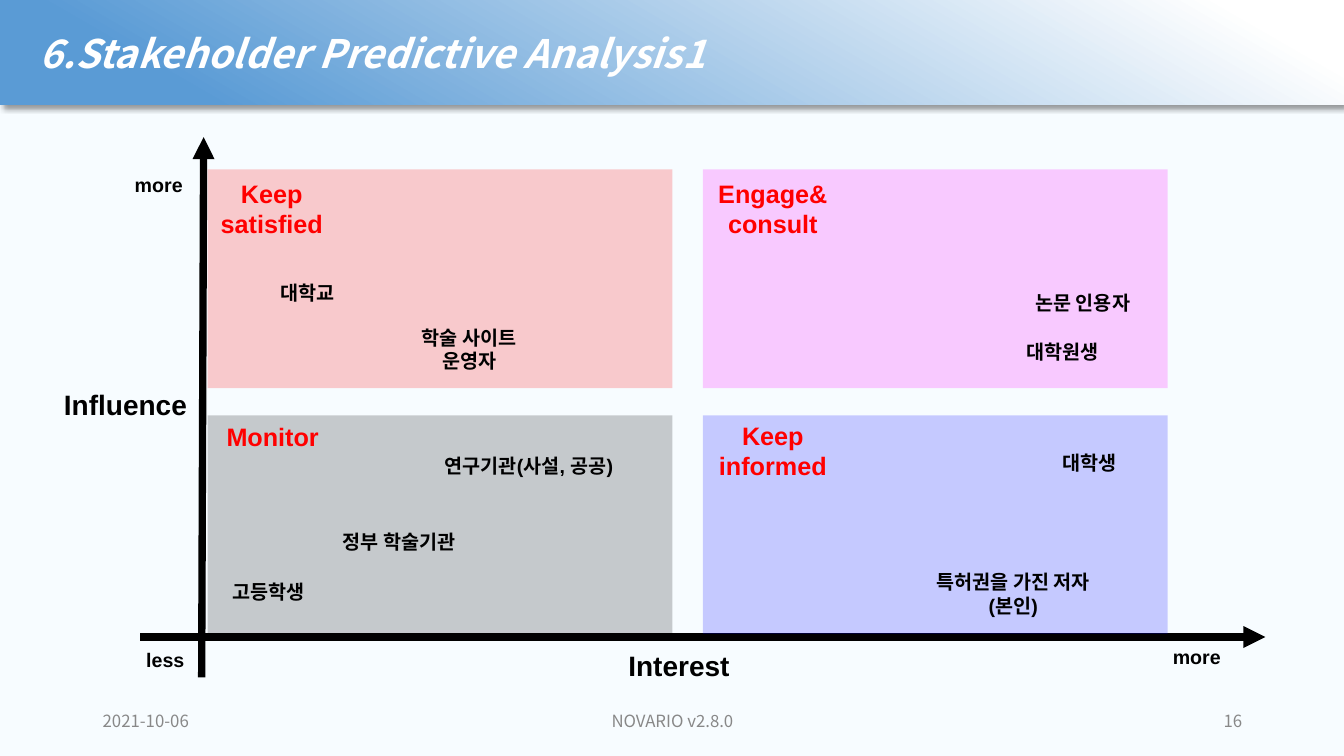
from dataclasses import dataclass

from lxml import etree
from pptx import Presentation
from pptx.dml.color import RGBColor
from pptx.enum.shapes import MSO_CONNECTOR, MSO_SHAPE
from pptx.enum.text import MSO_ANCHOR, MSO_AUTO_SIZE, PP_ALIGN
from pptx.oxml.ns import qn
from pptx.util import Emu, Pt

STRAIGHT = MSO_CONNECTOR.STRAIGHT
RECTANGLE = MSO_SHAPE.RECTANGLE
TOP, MIDDLE = MSO_ANCHOR.TOP, MSO_ANCHOR.MIDDLE
GROW, FIXED = MSO_AUTO_SIZE.SHAPE_TO_FIT_TEXT, MSO_AUTO_SIZE.NONE
LEFT, CENTER, RIGHT = PP_ALIGN.LEFT, PP_ALIGN.CENTER, PP_ALIGN.RIGHT

EMU_PER_PX = 9144
SANS = "Arial"
KOREAN = "Noto Sans CJK KR"
COLORS = {
    "page": "F7FCFF",
    "banner": "5A9BD5",
    "white": "FFFFFF",
    "black": "000000",
    "footer": "888888",
    "red": "FF0000",
    "magenta": "FF00FF",
    "blue": "0000FF",
}
QUADRANT_LEFTS = (206, 697)
QUADRANT_TOPS = (168, 412)
QUADRANT_WIDTH, QUADRANT_HEIGHT = 461, 217
QUADRANT_ALPHA = 20


@dataclass(frozen=True)
class Quadrant:
    column: int
    row: int
    color: str


@dataclass(frozen=True)
class Axis:
    start: tuple[int, int]
    end: tuple[int, int]


@dataclass(frozen=True)
class Label:
    text: str
    left: int
    top: int
    width: int
    height: int = 34
    align: PP_ALIGN = CENTER
    size: int = 14
    color: str = "black"


QUADRANTS = (
    Quadrant(0, 0, "red"),
    Quadrant(0, 1, "black"),
    Quadrant(1, 0, "magenta"),
    Quadrant(1, 1, "blue"),
)
AXES = (
    Axis((139, 632), (1255, 632)),
    Axis((200, 672), (202, 136)),
)
FOOTERS = (
    Label("2021-10-06", 92, 695, 300, 40, LEFT, 12, "footer"),
    Label("NOVARIO v2.8.0", 442, 695, 450, 40, CENTER, 12, "footer"),
    Label("16", 942, 695, 300, 40, RIGHT, 12, "footer"),
)
LABELS = (
    Label("less", 127, 638, 74),
    Label("more", 1146, 635, 82),
    Label("more", 116, 167, 83),
    Label("Influence", 43, 380, 163, 44, size=20),
    Label("Interest", 592, 638, 163, 44, size=20),
    Label("고등학생", 221, 570, 109, align=LEFT),
    Label("대학생", 1044, 442, 84, align=LEFT),
    Label("대학원생", 1008, 332, 109, align=LEFT),
    Label("대학교", 268, 274, 86, align=LEFT),
    Label("정부 학술기관", 330, 521, 146, align=LEFT),
    Label("연구기관(사설, 공공)", 431, 445, 198, align=LEFT),
    Label("특허권을 가진 저자(본인)", 918, 561, 174, 57),
    Label("학술 사이트 운영자", 392, 318, 147, 57),
    Label("논문 인용자", 1017, 284, 130, align=LEFT),
    Label("Monitor", 211, 413, 119, 40, size=18, color="red"),
    Label("Keep\nsatisfied", 200, 172, 139, 71, size=18, color="red"),
    Label("Engage&\nconsult", 697, 172, 139, 71, size=18, color="red"),
    Label("Keep\ninformed", 697, 412, 139, 71, size=18, color="red"),
)


def px(length: int) -> Emu:
    return Emu(length * EMU_PER_PX)


def rgb(name: str) -> RGBColor:
    return RGBColor.from_string(COLORS[name])


def format_text(frame, font: str, size: int, color: str, align: PP_ALIGN, bold: bool, italic: bool = False) -> None:
    for para in frame.paragraphs:
        para.alignment = align
        for span in para.runs:
            span.font.name = font
            span.font.size = Pt(size)
            span.font.bold = bold
            span.font.italic = italic
            span.font.color.rgb = rgb(color)
            east_asian = etree.Element(qn("a:ea"), typeface=KOREAN)
            span.font._element.find(qn("a:latin")).addnext(east_asian)


def draw_banner(page) -> None:
    banner = page.shapes.add_shape(RECTANGLE, 0, 0, px(1333), px(104))
    banner.line.fill.background()
    banner.fill.gradient()
    banner.fill.gradient_angle = 240
    stops = ((0.08, "white"), (0.86, "banner"))
    for stop, (position, color) in zip(banner.fill.gradient_stops, stops):
        stop.position = position
        stop.color.rgb = rgb(color)

    banner.shadow.inherit = False
    effects = banner._element.spPr.find(qn("a:effectLst"))
    shadow = etree.SubElement(
        effects, qn("a:outerShdw"), blurRad=str(Pt(4)), dist=str(Pt(3)), dir="2700000", algn="tl", rotWithShape="0"
    )
    shade = etree.SubElement(shadow, qn("a:srgbClr"), val=COLORS["black"])
    etree.SubElement(shade, qn("a:alpha"), val="40000")

    frame = banner.text_frame
    frame.text = "6.Stakeholder Predictive Analysis1"
    frame.word_wrap = True
    frame.vertical_anchor = MIDDLE
    frame.margin_left = px(39)
    format_text(frame, KOREAN, 28, "white", LEFT, bold=True, italic=True)


def draw_quadrant(page, quadrant: Quadrant) -> None:
    box = page.shapes.add_shape(
        RECTANGLE,
        px(QUADRANT_LEFTS[quadrant.column]),
        px(QUADRANT_TOPS[quadrant.row]),
        px(QUADRANT_WIDTH),
        px(QUADRANT_HEIGHT),
    )
    box.shadow.inherit = False
    box.line.fill.background()
    box.fill.solid()
    box.fill.fore_color.rgb = rgb(quadrant.color)
    tint = box._element.spPr.find(qn("a:solidFill")).find(qn("a:srgbClr"))
    etree.SubElement(tint, qn("a:alpha"), val=str(QUADRANT_ALPHA * 1000))


def draw_axis(page, axis: Axis) -> None:
    arrow = page.shapes.add_connector(STRAIGHT, *map(px, axis.start + axis.end))
    arrow.line.color.rgb = rgb("black")
    arrow.line.width = Pt(5.25)
    properties = arrow._element.spPr
    etree.SubElement(properties.find(qn("a:ln")), qn("a:tailEnd"), type="triangle")
    etree.SubElement(properties, qn("a:effectLst"))


def draw_label(page, label: Label, font: str, bold: bool, anchor: MSO_ANCHOR, sizing: MSO_AUTO_SIZE) -> None:
    box = page.shapes.add_textbox(px(label.left), px(label.top), px(label.width), px(label.height))
    frame = box.text_frame
    frame.text = label.text
    frame.word_wrap = True
    frame.auto_size = sizing
    frame.vertical_anchor = anchor
    format_text(frame, font, label.size, label.color, label.align, bold)


def main() -> None:
    deck = Presentation()
    deck.slide_width, deck.slide_height = px(1333), px(750)
    page = deck.slides.add_slide(deck.slide_layouts[6])
    page.background.fill.solid()
    page.background.fill.fore_color.rgb = rgb("page")

    draw_banner(page)
    for footer in FOOTERS:
        draw_label(page, footer, KOREAN, False, MIDDLE, FIXED)
    for axis in AXES:
        draw_axis(page, axis)
    for quadrant in QUADRANTS:
        draw_quadrant(page, quadrant)
    for label in LABELS:
        draw_label(page, label, SANS, True, TOP, GROW)

    deck.save("out.pptx")


if __name__ == "__main__":
    main()
